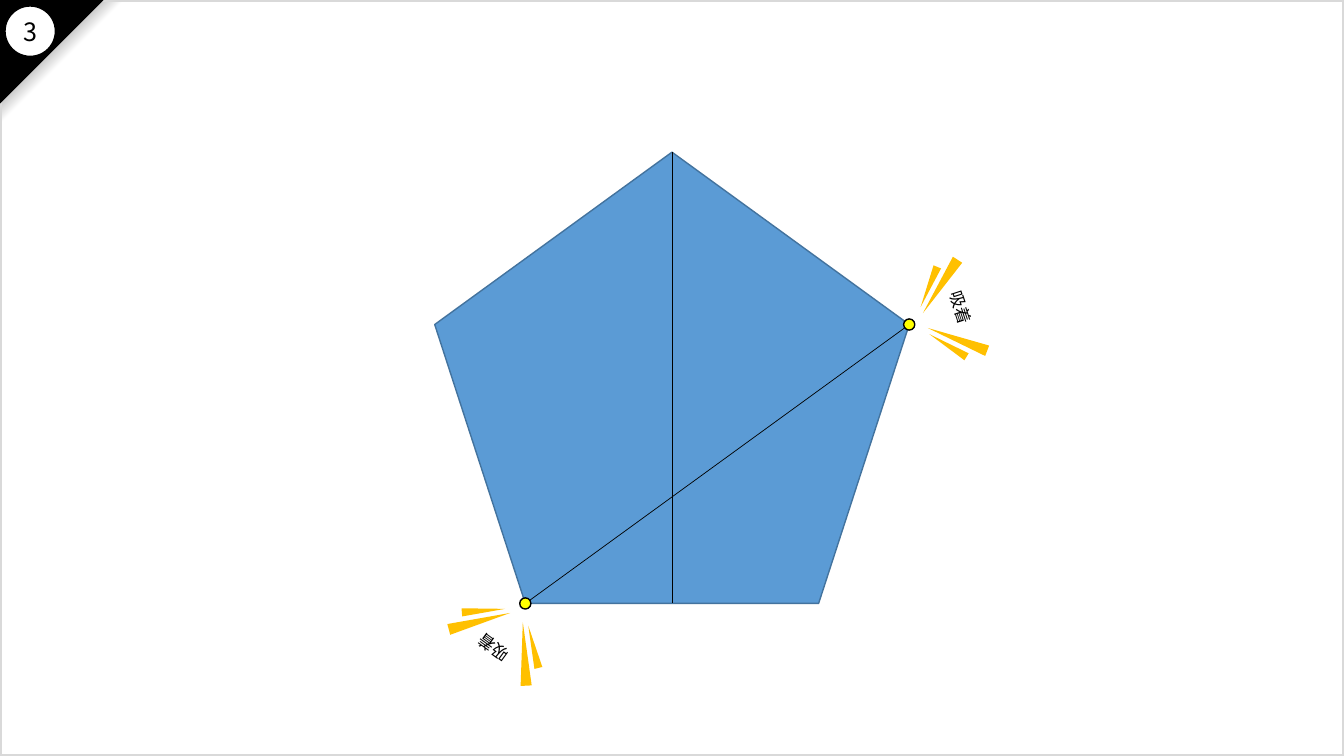
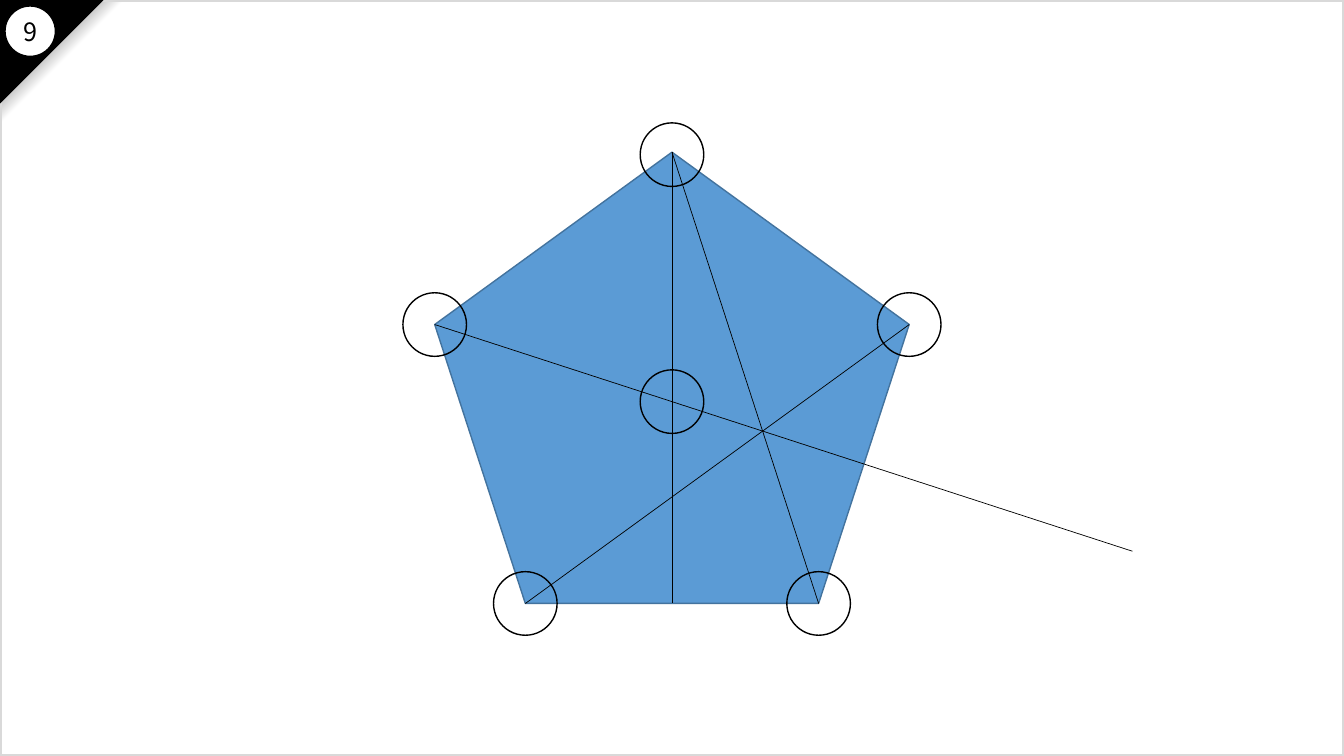
import math

from lxml import etree
from pptx import Presentation
from pptx import util as u
from pptx.dml.color import RGBColor
from pptx.enum import shapes, text
from pptx.oxml.ns import qn

Pt = u.Pt
SHAPE = shapes.MSO_SHAPE

COLORS = {
    "black": "000000", "white": "FFFFFF", "grey": "808080", "frame": "D9D9D9",
    "pentagon": "5B9BD5", "outline": "43739E", "dot": "FFFF00", "spark": "FFC000",
}
FONT = "Noto Sans CJK JP"
WIDTH, HEIGHT = 960, 540

# The regular pentagon: centre and radius of its circumscribed circle
CENTER_X, CENTER_Y, RADIUS = 480, 286.9, 178.2
TOP, RIGHT, LOWER_RIGHT, LOWER_LEFT, LEFT = range(0, 360, 72)
BASE_MIDDLE = (CENTER_X, CENTER_Y + RADIUS * math.cos(math.radians(36)))

# Sparks, relative to a corner: outward, sideways, tilt, width, height
SPARKS = [(29.5, 19.9, 39, 7.9, 45.4), (21.7, 22, 49.4, 5.8, 31)]


def rgb(name):
    return RGBColor.from_string(COLORS[name])


def move(start, angle, outward, sideways=0):
    """Step from a point along a clockwise angle (0 is up) and across it."""
    turn = math.radians(angle)
    return (start[0] + outward * math.sin(turn) + sideways * math.cos(turn),
            start[1] - outward * math.cos(turn) + sideways * math.sin(turn))


def corner(angle):
    return move((CENTER_X, CENTER_Y), angle, RADIUS)


def box_around(center, width, height):
    x, y = center
    return [Pt(v) for v in (x - width / 2, y - height / 2, width, height)]


# Kinds of element
def add_figure(parent, kind, center, width, height,
               fill=None, line=None, weight=1, rotation=0):
    shape = parent.shapes.add_shape(kind, *box_around(center, width, height))
    shape.shadow.inherit = False
    shape.rotation = rotation
    if fill:
        shape.fill.solid()
        shape.fill.fore_color.rgb = rgb(fill)
    else:
        shape.fill.background()
    if line:
        shape.line.color.rgb = rgb(line)
        shape.line.width = Pt(weight)
    else:
        shape.line.fill.background()
    return shape


def add_line(slide, start, end):
    line = slide.shapes.add_connector(
        shapes.MSO_CONNECTOR.STRAIGHT, *[Pt(v) for v in (*start, *end)])
    line.line.color.rgb = rgb("black")
    line.line.width = Pt(0.5)
    etree.SubElement(line._element.spPr, qn("a:effectLst"))


def add_label(parent, content, center, width, height, size, rotation=0):
    label = parent.shapes.add_textbox(*box_around(center, width, height))
    label.rotation = rotation
    frame_format = {"word_wrap": False,
                    "auto_size": text.MSO_AUTO_SIZE.SHAPE_TO_FIT_TEXT}
    for name, value in frame_format.items():
        setattr(label.text_frame, name, value)
    paragraph = label.text_frame.paragraphs[0]
    paragraph.alignment = text.PP_ALIGN.CENTER
    run = paragraph.add_run()
    run.text = content
    for name, value in {"name": FONT, "size": Pt(size)}.items():
        setattr(run.font, name, value)
    run.font.color.rgb = rgb("black")
    east_asian = etree.Element(qn("a:ea"), typeface=FONT)
    run._r.rPr.find(qn("a:latin")).addnext(east_asian)


def add_gradient(shape, stops, angle):
    shape.fill.gradient()
    shape.fill.gradient_angle = angle
    stop_list = shape._element.spPr.find(qn("a:gradFill")).find(qn("a:gsLst"))
    for old in list(stop_list):
        stop_list.remove(old)
    for percent, name in stops:
        stop = etree.SubElement(stop_list, qn("a:gs"), pos=str(percent * 1000))
        etree.SubElement(stop, qn("a:srgbClr"), val=COLORS[name])


def add_ring(slide, center):
    add_figure(slide, SHAPE.OVAL, center, 45.4, 45.4, line="black")


def add_dot(slide, angle):
    add_figure(slide, SHAPE.OVAL, corner(angle), 8, 8, "dot", "black")


def add_burst(slide, angle, shift):
    """Label and sparks that show a line snapping to a corner."""
    group = slide.shapes.add_group_shape()
    origin = move(corner(angle), angle, 0, shift)
    add_label(group, "吸着", move(corner(angle), angle, 38.9), 38.9, 21.6, 12, angle)
    for outward, sideways, tilt, width, height in SPARKS:
        for side in (1, -1):
            add_figure(group, SHAPE.ISOSCELES_TRIANGLE,
                       move(origin, angle, outward, side * sideways), width, height,
                       "spark", rotation=(angle + 180 + side * tilt) % 360)


# What both slides share
def add_step(presentation, number):
    slide = presentation.slides.add_slide(presentation.slide_layouts[6])
    fold = add_figure(slide, SHAPE.RIGHT_TRIANGLE, (44.3, 44.3), 88.6, 88.6, rotation=90)
    add_gradient(fold, [(0, "white"), (50, "white"), (70, "grey"), (100, "black")], 225)
    add_figure(slide, SHAPE.RECTANGLE, (WIDTH / 2, HEIGHT / 2), WIDTH, HEIGHT,
               line="frame", weight=3)
    add_figure(slide, SHAPE.RIGHT_TRIANGLE, (36.7, 36.7), 73.4, 73.4,
               "black", "black", rotation=90)
    badge = (21.6, 22.3)
    add_figure(slide, SHAPE.OVAL, badge, 36, 36, "white", "black")

    # Pentagon, its axis and its diagonal
    top, right = corner(TOP), corner(RIGHT)
    height = BASE_MIDDLE[1] - top[1]
    add_figure(slide, SHAPE.REGULAR_PENTAGON, (CENTER_X, top[1] + height / 2),
               2 * (right[0] - CENTER_X), height, "pentagon", "outline")
    add_line(slide, top, BASE_MIDDLE)
    add_line(slide, corner(LOWER_LEFT), right)
    add_label(slide, str(number), badge, 25.9, 28.8, 18)
    return slide


def main():
    presentation = Presentation()
    presentation.slide_width, presentation.slide_height = Pt(WIDTH), Pt(HEIGHT)

    # Step 3: the diagonal snaps to two corners
    slide = add_step(presentation, 3)
    for angle, shift in ((LOWER_LEFT, -0.8), (RIGHT, 0.8)):
        add_dot(slide, angle)
        add_burst(slide, angle, shift)

    # Step 9: second diagonal, rings and a line through the centre
    slide = add_step(presentation, 9)
    add_line(slide, corner(TOP), corner(LOWER_RIGHT))
    add_ring(slide, (CENTER_X, CENTER_Y))
    for angle in (LEFT, LOWER_LEFT, LOWER_RIGHT, RIGHT):
        add_ring(slide, corner(angle))
    add_ring(slide, move(corner(TOP), TOP, -1.8))
    add_line(slide, corner(LEFT), move(corner(LEFT), LEFT - 180, 524))

    presentation.save("out.pptx")


if __name__ == "__main__":
    main()
